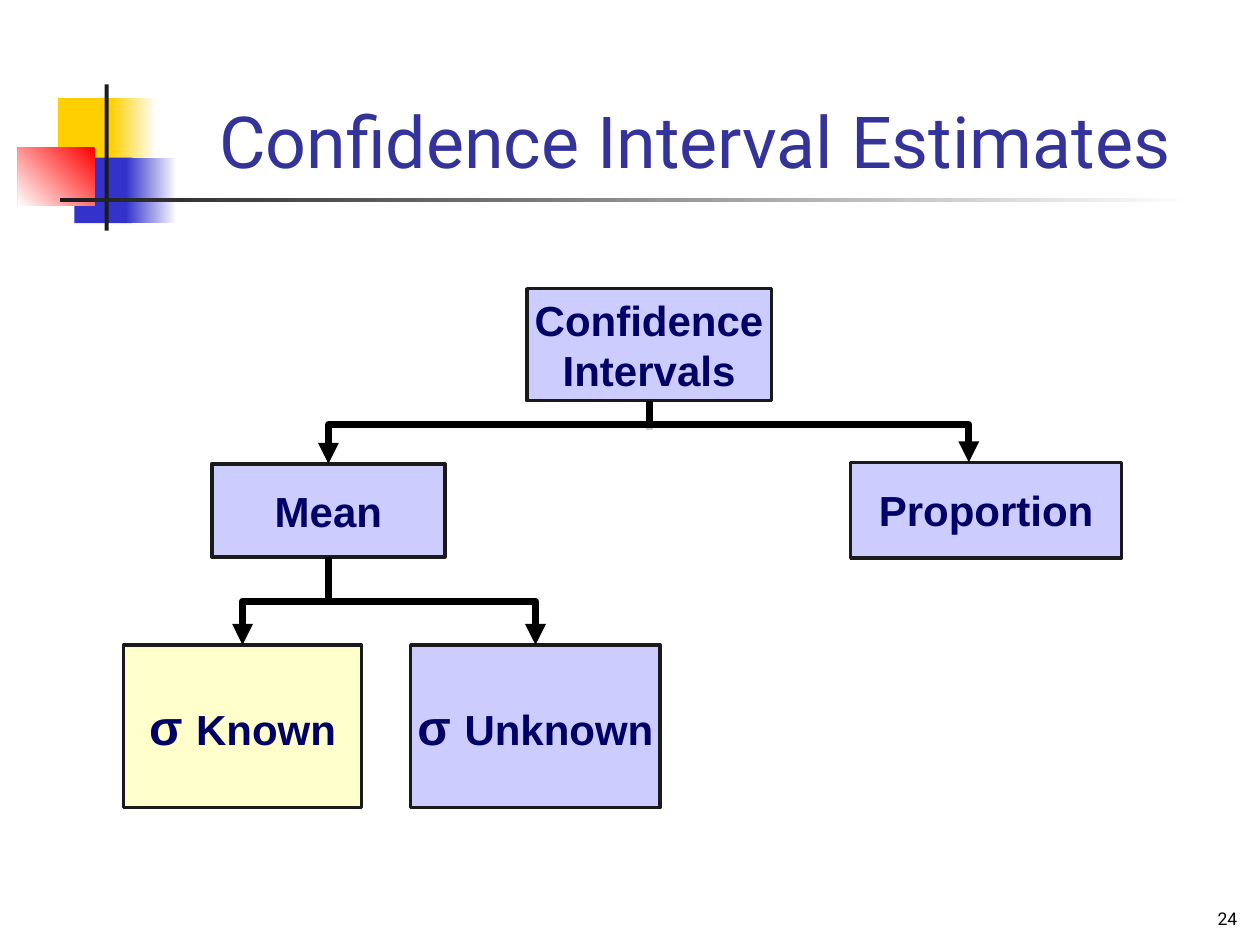
from lxml import etree
from pptx import Presentation, util as u
from pptx.dml.color import RGBColor
from pptx.enum import shapes, text
from pptx.oxml.ns import qn

WHITE = RGBColor(0xFF, 0xFF, 0xFF)
BLACK = RGBColor(0, 0, 0)
DARK = RGBColor(0x1C, 0x1C, 0x1C)
EDGE = RGBColor(0x1A, 0x1A, 0x1A)
GOLD = RGBColor(0xFF, 0xCF, 0x01)
BLUE = RGBColor(0x33, 0x33, 0xCC)
RED = RGBColor(0xFF, 0, 0)
INDIGO = RGBColor(0x33, 0x33, 0x99)
NAVY = RGBColor(0, 0, 0x66)
LILAC = RGBColor(0xCC, 0xCC, 0xFF)
CREAM = RGBColor(0xFF, 0xFF, 0xCC)
GREY = RGBColor(0xCD, 0xCD, 0xCD)


def cm(*nums):
    return [u.Cm(n) for n in nums]


def style(font, size, name, color, bold=False):
    font.size, font.name, font.bold = u.Pt(size), name, bold
    font.color.rgb = color


def block(slide, place, *colors, angle=180):
    """Borderless rectangle, solid for one colour, gradient for two."""
    shape = slide.shapes.add_shape(shapes.MSO_SHAPE.RECTANGLE, *cm(*place))
    shape.shadow.inherit = False
    shape.line.fill.background()
    if len(colors) == 1:
        shape.fill.solid()
        shape.fill.fore_color.rgb = colors[0]
    else:
        shape.fill.gradient()
        shape.fill.gradient_angle = angle
        for stop, color, pos in zip(shape.fill.gradient_stops, colors, (0, 1)):
            stop.color.rgb, stop.position = color, pos
    return shape


def node(slide, place, lines, fill=LILAC, sigma=False):
    """Outlined chart box with centred bold lines."""
    shape = block(slide, place, fill)
    shape.line.color.rgb, shape.line.width = EDGE, u.Pt(2)
    frame = shape.text_frame
    frame.margin_left = frame.margin_right = 0
    frame.margin_top = frame.margin_bottom = 0
    frame.vertical_anchor = text.MSO_ANCHOR.MIDDLE
    frame.word_wrap = False
    for i, line in enumerate(lines):
        para = frame.add_paragraph() if i else frame.paragraphs[0]
        para.alignment = text.PP_ALIGN.CENTER
        style(para.font, 24, "Arial", NAVY, True)
        if sigma:
            run = para.add_run()
            run.text = "σ "
            run.font.size = u.Pt(28)
        para.add_run().text = line
    return shape


def branch(slide, parent, child, bend, end=None):
    """Elbow arrow from the parent's bottom to the child's top."""
    start = parent.left + parent.width // 2
    end = end or child.left + child.width // 2
    build = slide.shapes.build_freeform(start, parent.top + parent.height)
    build.add_line_segments([(start, bend), (end, bend), (end, child.top)],
                            close=False)
    shape = build.convert_to_shape()
    shape.shadow.inherit = False
    shape.fill.background()
    shape.line.color.rgb, shape.line.width = BLACK, u.Pt(4)
    line = shape.line._get_or_add_ln()
    etree.SubElement(line, qn("a:round"))
    etree.SubElement(line, qn("a:tailEnd"), type="triangle")


def stub(slide, parent, end):
    """Short grey line below the parent."""
    x = parent.left + parent.width // 2
    link = slide.shapes.add_connector(shapes.MSO_CONNECTOR.STRAIGHT,
                                      x, parent.top + parent.height, x, end)
    link.begin_connect(parent, 2)
    link.line.color.rgb, link.line.width = GREY, u.Pt(4)
    etree.SubElement(link._element.spPr, qn("a:effectLst"))


def label(shape, words, size, color, align):
    """Bottom-anchored single line."""
    frame = shape.text_frame
    frame.word_wrap = True
    frame.auto_size = text.MSO_AUTO_SIZE.NONE
    frame.vertical_anchor = text.MSO_ANCHOR.BOTTOM
    para = frame.paragraphs[0]
    para.text, para.alignment = words, align
    style(para.font, size, "Roboto", color)


def decor(slide):
    block(slide, (1.17, 1.98, 1.22, 1.32), GOLD)
    block(slide, (2.24, 1.98, 0.91, 1.32), WHITE, GOLD)
    block(slide, (1.5, 3.18, 1.17, 1.32), BLUE)
    block(slide, (2.54, 3.18, 1.02, 1.32), WHITE, BLUE)
    block(slide, (0.36, 2.97, 1.55, 1.17), RED, WHITE, angle=225)
    block(slide, (2.11, 1.7, 0.08, 2.95), DARK)
    block(slide, (1.22, 3.99, 22.86, 0.08), WHITE, DARK)


def main():
    deck = Presentation()
    deck.slide_width, deck.slide_height = cm(25.4, 19.05)
    slide = deck.slides.add_slide(deck.slide_layouts[5])
    decor(slide)

    # Title
    title = slide.shapes.title
    title.left, title.top, title.width, title.height = cm(3.2, 0.64, 21.64, 3.18)
    label(title, "Confidence Interval Estimates", 41, INDIGO,
          text.PP_ALIGN.CENTER)

    # Tree boxes
    root = node(slide, (10.62, 5.82, 4.93, 2.26), ["Confidence", "Intervals"])
    mean = node(slide, (4.27, 9.35, 4.7, 1.88), ["Mean"])
    share = node(slide, (17.15, 9.32, 5.46, 1.93), ["Proportion"])
    known = node(slide, (2.49, 13, 4.8, 3.28), ["Known"], CREAM, sigma=True)
    other = node(slide, (8.28, 13, 5.03, 3.28), ["Unknown"], sigma=True)

    # Links between levels
    stub(slide, root, u.Cm(8.66))
    branch(slide, root, mean, u.Cm(8.56))
    branch(slide, root, share, u.Cm(8.56), u.Cm(19.53))
    for leaf in (known, other):
        branch(slide, mean, leaf, u.Cm(12.12))

    # Page number
    page = slide.shapes.add_textbox(*cm(19.91, 17.55, 5.28, 1.3))
    label(page, "24", 10, BLACK, text.PP_ALIGN.RIGHT)

    deck.save("out.pptx")


if __name__ == "__main__":
    main()
